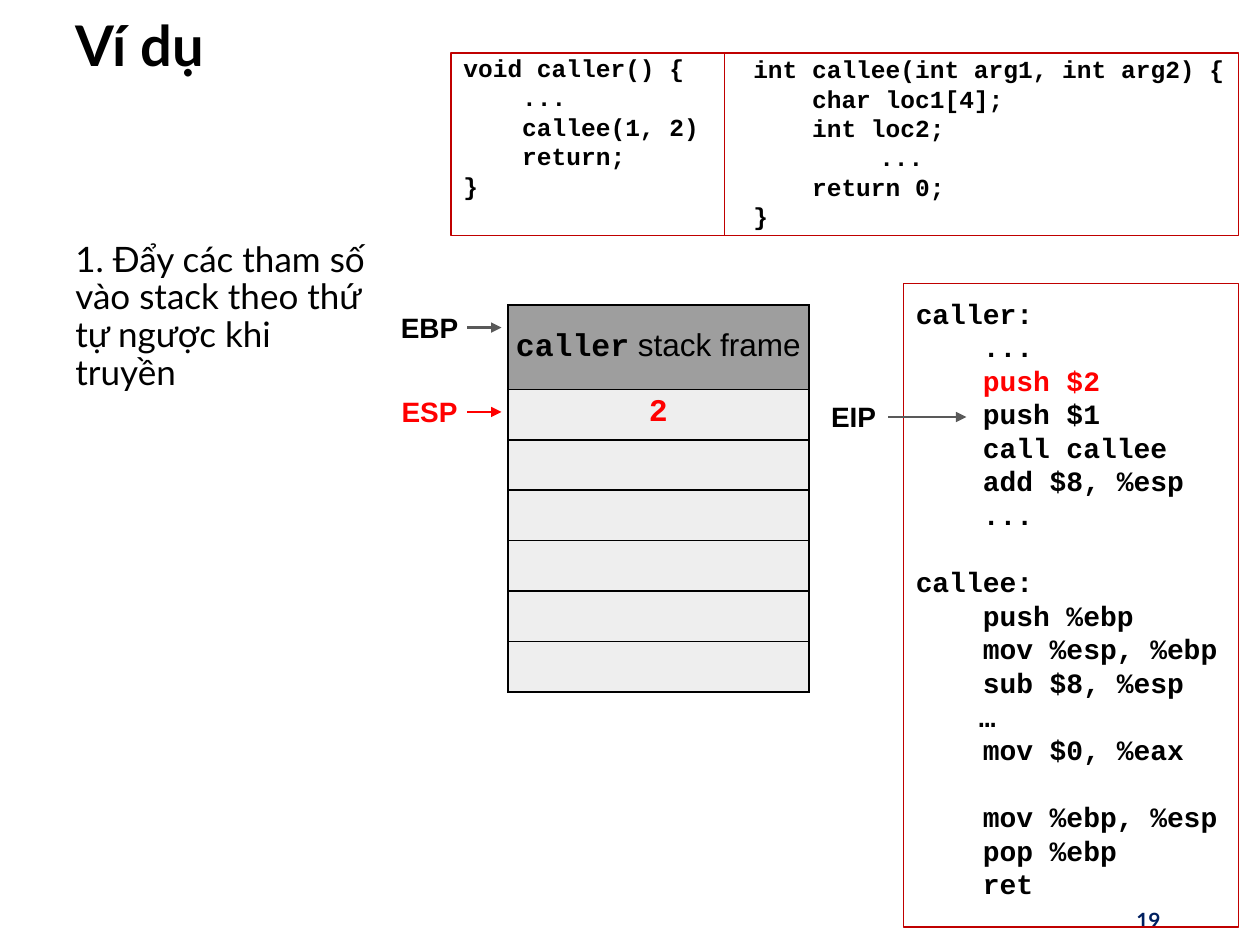
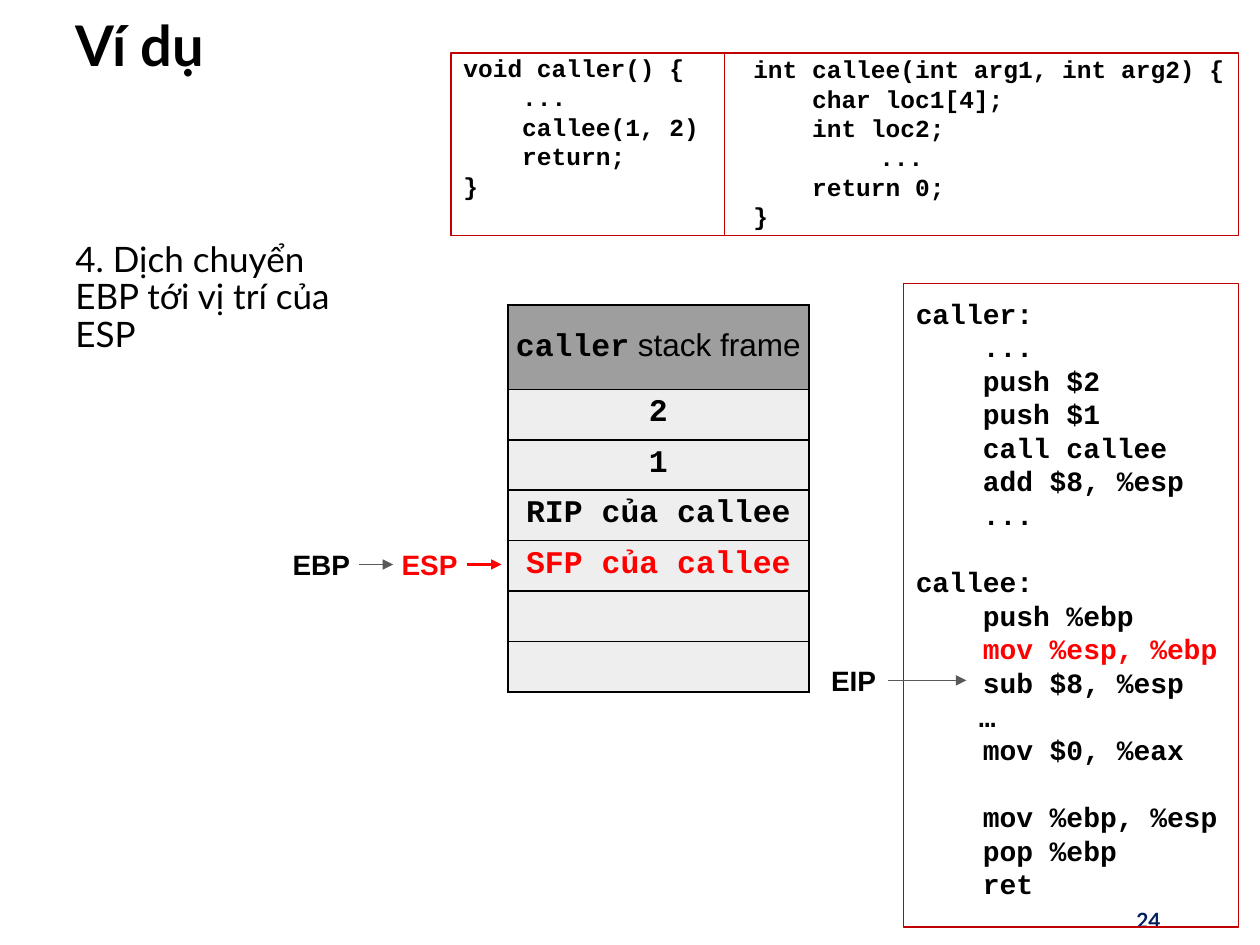
from dataclasses import dataclass

from lxml import etree
from pptx import Presentation
from pptx import util as u
from pptx.dml.color import RGBColor
from pptx.enum import shapes, text
from pptx.oxml.ns import qn


@dataclass(frozen=True)
class Theme:
    black: str = "000000"
    red: str = "FF0000"
    frame: str = "C00000"
    navy: str = "002060"
    arrow: str = "595959"
    header: str = "9E9E9E"
    cell: str = "EEEEEE"
    body_font: str = "Lato"
    code_font: str = "Courier New"
    label_font: str = "Arial"
    title: int = 32
    body: int = 20
    cell_size: int = 18
    label: int = 16
    code: int = 14
    number: int = 12


T = Theme()
LEFT, CENTER, RIGHT = text.PP_ALIGN.LEFT, text.PP_ALIGN.CENTER, text.PP_ALIGN.RIGHT
TOP, MIDDLE = text.MSO_ANCHOR.TOP, text.MSO_ANCHOR.MIDDLE
STACK_LEFT, STACK_TOP, STACK_WIDTH = 4.03, 2.42, 2.39
HEADER_HEIGHT, ROW_HEIGHT, STACK_ROWS = 0.67, 0.4, 6
LABEL_HEIGHT = 0.37

CALLER = """void caller() {
    ...
    callee(1, 2)
    return;
}""".split("\n")

CALLEE = """int callee(int arg1, int arg2) {
    char loc1[4];
    int loc2;
\t...
    return 0;
}""".split("\n")

ASSEMBLY = """caller:
    ...
    push $2
    push $1
    call callee
    add $8, %esp
    ...

callee:
    push %ebp
    mov %esp, %ebp
    sub $8, %esp
\t…
    mov $0, %eax

    mov %ebp, %esp
    pop %ebp
    ret""".split("\n")


def assign(obj, **values):
    for name, value in values.items():
        setattr(obj, name, value)


def inches(*values):
    return [u.Inches(v) for v in values]


def add_run(p, words, font, size, color=T.black, bold=True):
    r = p.add_run()
    r.text = words
    assign(r.font, name=font, size=u.Pt(size), bold=bold)
    r.font.color.rgb = RGBColor.from_string(color)


def set_frame(tf, inset, anchor=TOP):
    side, edge = inches(*inset)
    assign(tf, word_wrap=True, vertical_anchor=anchor, margin_left=side,
           margin_right=side, margin_top=edge, margin_bottom=edge)


def add_text(s, box, words, font, size, color=T.black, bold=True, align=LEFT,
             anchor=TOP, inset=(0.1, 0.05), spacing=1.0):
    tf = s.shapes.add_textbox(*inches(*box)).text_frame
    set_frame(tf, inset, anchor)
    p = tf.paragraphs[0]
    assign(p, alignment=align, line_spacing=spacing)
    add_run(p, words, font, size, color, bold)


def add_outline(s, box):
    sp = s.shapes.add_shape(shapes.MSO_SHAPE.RECTANGLE, *inches(*box))
    sp.shadow.inherit = False
    sp.fill.background()
    sp.line.color.rgb = RGBColor.from_string(T.frame)
    sp.line.width = u.Pt(1)
    return sp


def write_code(tf, lines, size, tab, highlight=None):
    set_frame(tf, (0.1, 0.1))
    p, gap = tf.paragraphs[0], False
    for i, line in enumerate(lines):
        if not line:
            gap = True
            continue
        if i:
            p = tf.add_paragraph()
        p.alignment = LEFT
        if gap:
            p.space_before = u.Pt(size * 1.2)
            gap = False
        if "\t" in line:
            tabs = etree.SubElement(p._p.get_or_add_pPr(), qn("a:tabLst"))
            etree.SubElement(tabs, qn("a:tab"), pos=str(u.Inches(tab)), algn="l")
        color = T.red if line.strip() == highlight else T.black
        add_run(p, line, T.code_font, size, color)


def add_line(s, start, end, color, width, arrow=False):
    c = s.shapes.add_connector(shapes.MSO_CONNECTOR.STRAIGHT, *inches(*start, *end))
    c.line.color.rgb = RGBColor.from_string(color)
    c.line.width = u.Pt(width)
    if arrow:
        etree.SubElement(c.line._get_or_add_ln(), qn("a:tailEnd"), type="triangle")
    etree.SubElement(c._element.spPr, qn("a:effectLst"))


def add_pointer(s, name, left, y, width=0.6, length=0.27, weight=1.5, color=None):
    box = (left, y - LABEL_HEIGHT / 2, width, LABEL_HEIGHT)
    add_text(s, box, name, T.label_font, T.label, color or T.black,
             align=CENTER, inset=(0.05, 0.05))
    start = left + width
    add_line(s, (start, y), (start + length, y), color or T.arrow, weight, True)


def style_cell(cell, fill):
    assign(cell, **{f"margin_{side}": u.Inches(0.05)
                    for side in ("left", "right", "top", "bottom")})
    tcPr = cell._tc.get_or_add_tcPr()
    for side in ("lnL", "lnR", "lnT", "lnB"):
        ln = etree.SubElement(tcPr, qn(f"a:{side}"), w=str(u.Pt(1)))
        solid = etree.SubElement(ln, qn("a:solidFill"))
        etree.SubElement(solid, qn("a:srgbClr"), val=T.black)
    cell.fill.solid()
    cell.fill.fore_color.rgb = RGBColor.from_string(fill)


def add_stack(s, values, highlight):
    height = HEADER_HEIGHT + STACK_ROWS * ROW_HEIGHT
    box = inches(STACK_LEFT, STACK_TOP, STACK_WIDTH, height)
    table = s.shapes.add_table(STACK_ROWS + 1, 1, *box).table
    assign(table, first_row=False, horz_banding=False)
    for i, row in enumerate(table.rows):
        row.height = u.Inches(ROW_HEIGHT if i else HEADER_HEIGHT)
        style_cell(row.cells[0], T.cell if i else T.header)
    header = table.cell(0, 0)
    header.vertical_anchor = MIDDLE
    p = header.text_frame.paragraphs[0]
    p.alignment = CENTER
    add_run(p, "caller", T.code_font, T.cell_size)
    add_run(p, " stack frame", T.label_font, T.cell_size, bold=False)
    for i, value in enumerate(values, 1):
        p = table.cell(i, 0).text_frame.paragraphs[0]
        p.alignment = CENTER
        color = T.red if value == highlight else T.black
        add_run(p, value, T.code_font, T.cell_size, color)


def add_source_code(s):
    left, top, width, height = frame = (3.58, 0.42, 6.25, 1.45)
    for box, lines in (((left, 0.32, 2.5, 1.18), CALLER),
                       ((5.88, 0.33, 4.02, 1.62), CALLEE)):
        tf = s.shapes.add_textbox(*inches(*box)).text_frame
        write_code(tf, lines, T.code, 1)
    add_outline(s, frame)
    add_line(s, (5.75, top), (5.75, top + height), T.frame, 1)


def add_step(prs, number, step, instruction, values, highlight, pointers):
    s = prs.slides.add_slide(prs.slide_layouts[6])
    add_text(s, (0.5, 0.08, 8.81, 0.61), "Ví dụ", T.body_font, T.title,
             anchor=MIDDLE, spacing=0.9)
    add_text(s, (0.5, 1.87, 2.56, 5.21), step, T.body_font, T.body,
             bold=False, spacing=0.9)
    add_text(s, (7.06, 7.1, 2.25, 0.4), number, T.body_font, T.number, T.navy,
             align=RIGHT, anchor=MIDDLE)
    assembly = add_outline(s, (7.17, 2.25, 2.66, 5.11))
    write_code(assembly.text_frame, ASSEMBLY, T.label, 0.5, instruction)
    add_source_code(s)
    add_stack(s, values, highlight)
    for pointer in pointers:
        add_pointer(s, **pointer)


def main():
    prs = Presentation()
    assign(prs, slide_width=u.Inches(10), slide_height=u.Inches(7.5))
    ebp = dict(name="EBP", left=3.11)
    esp = dict(name="ESP", left=3.11, color=T.red)
    eip = dict(name="EIP", left=6.5, width=0.55, length=0.62)
    add_step(prs, "19", "1. Đẩy các tham số vào stack theo thứ tự ngược khi truyền",
             "push $2", ["2"], "2",
             [ebp | dict(y=2.6), esp | dict(y=3.27), eip | dict(y=3.31)])
    add_step(prs, "24", "4. Dịch chuyển EBP tới vị trí của ESP", "mov %esp, %ebp",
             ["2", "1", "RIP của callee", "SFP của callee"], "SFP của callee",
             [ebp | dict(left=2.25, y=4.48, weight=0.75), esp | dict(y=4.48),
              eip | dict(y=5.4, weight=0.75)])
    prs.save("out.pptx")


if __name__ == "__main__":
    main()
